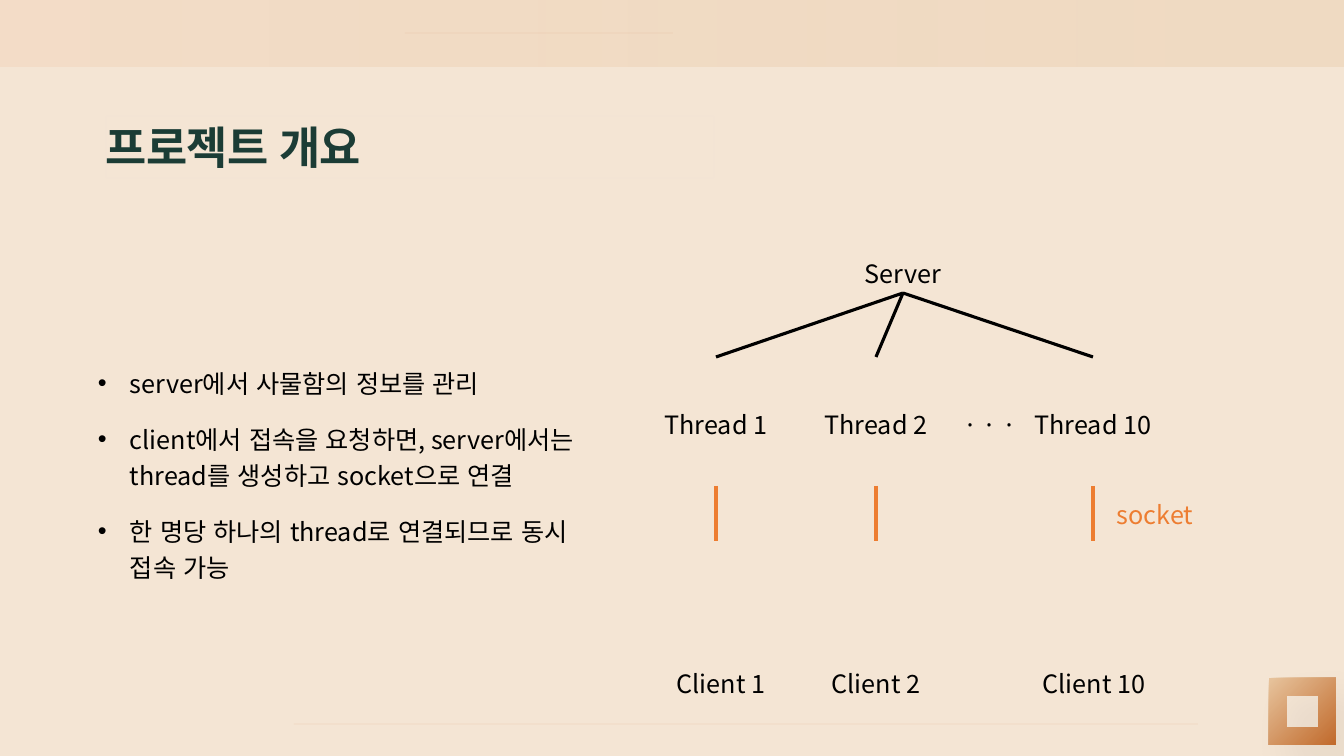
from lxml.etree import SubElement
from pptx import Presentation
from pptx.dml.color import RGBColor
from pptx.enum.lang import MSO_LANGUAGE_ID
from pptx.enum.shapes import MSO_CONNECTOR, MSO_SHAPE
from pptx.enum.text import MSO_ANCHOR, MSO_AUTO_SIZE, PP_ALIGN
from pptx.oxml.ns import qn
from pptx.util import Emu, Pt

TITLE = "프로젝트 개요"
BULLETS = [
    "server에서 사물함의 정보를 관리",
    "client에서 접속을 요청하면, server에서는 thread를 생성하고 socket으로 연결",
    "한 명당 하나의 thread로 연결되므로 동시 접속 가능",
]
# number, centre of the thread and its lines, centre of the client
BRANCHES = [(1, 716, 721), (2, 876, 876), (10, 1093, 1094)]
SERVER_CENTER, DOTS_CENTER, SOCKET_CENTER = 903, 990, 1155
SERVER_TOP, THREAD_TOP, SOCKET_TOP, CLIENT_TOP = 253, 404, 494, 663
BRANCH_END = 357
SOCKET_LINE = (486, 541)
LABEL_WIDTH, LABEL_HEIGHT = 144, 40
RULES = [(405, 673, 33), (294, 1198, 724)]

FONT = "Noto Sans CJK KR"
CREAM = RGBColor(0xF4, 0xE5, 0xD4)
SAND = RGBColor(0xE7, 0xC4, 0x9D)
PEACH = RGBColor(0xF3, 0xD5, 0xBB)
RUST = RGBColor(0xC1, 0x6A, 0x2C)
RULE_COLOR = RGBColor(0xE3, 0xAB, 0x83)
GRAY = RGBColor(0xD9, 0xD9, 0xD9)
GREEN = RGBColor(0x1B, 0x3C, 0x35)
BLACK = RGBColor(0, 0, 0)
ORANGE = RGBColor(0xED, 0x7D, 0x31)


def px(length):
    return Emu(round(length * 914400 / 100.8))


def box(*lengths):
    return [px(length) for length in lengths]


def set_opacity(element, percents):
    """Give each colour inside the element its opacity, in order."""
    for color, percent in zip(element.iter(qn("a:srgbClr")), percents):
        SubElement(color, qn("a:alpha"), val=str(percent * 1000))


def add_soft_shadow(shape):
    effects = shape._element.spPr.find(qn("a:effectLst"))
    shadow = SubElement(effects, qn("a:outerShdw"), blurRad=str(Pt(30)),
                        dist=str(Pt(26)), dir="2700000", algn="tl")
    SubElement(shadow, qn("a:srgbClr"), val=str(BLACK))
    set_opacity(shadow, (8,))


def style_run(run, color, size=18):
    run.font.name = FONT
    run.font.size = Pt(size)
    run.font.color.rgb = color
    run.font.language_id = MSO_LANGUAGE_ID.KOREAN
    SubElement(run.font._element, qn("a:ea"), typeface=FONT)


def add_gradient_shape(slide, kind, bounds, colors, angle):
    shape = slide.shapes.add_shape(kind, *box(*bounds))
    shape.shadow.inherit = False
    shape.line.fill.background()
    shape.fill.gradient()
    shape.fill.gradient_angle = angle
    for position, (stop, color) in enumerate(zip(shape.fill.gradient_stops, colors)):
        stop.color.rgb = color
        stop.position = position
    return shape


def add_line(slide, start, end, color, width=2.25):
    line = slide.shapes.add_connector(MSO_CONNECTOR.STRAIGHT, *box(*start, *end))
    line.line.color.rgb = color
    line.line.width = Pt(width)
    SubElement(line._element.spPr, qn("a:effectLst"))
    return line


def add_label(slide, text, center, top, color=BLACK):
    label = slide.shapes.add_textbox(
        *box(center - LABEL_WIDTH / 2, top, LABEL_WIDTH, LABEL_HEIGHT))
    frame = label.text_frame
    frame.word_wrap = True
    frame.auto_size = MSO_AUTO_SIZE.SHAPE_TO_FIT_TEXT
    frame.text = text
    frame.paragraphs[0].alignment = PP_ALIGN.CENTER
    style_run(frame.paragraphs[0].runs[0], color)
    return label


def add_decoration(slide):
    band = add_gradient_shape(
        slide, MSO_SHAPE.RECTANGLE, (0, 0, 1344, 67), (SAND, PEACH), 180)
    set_opacity(band._element.spPr, (31, 50))
    for left, right, y in RULES:
        rule = add_line(slide, (left, y), (right, y), RULE_COLOR, 0.5)
        set_opacity(rule._element.spPr, (24,))
    corner = add_gradient_shape(
        slide, MSO_SHAPE.FRAME, (1269, 678, 67, 67), (SAND, RUST), 315)
    corner.adjustments[0] = 0.265
    add_soft_shadow(corner)


def format_title(title):
    title.left, title.top, title.width, title.height = box(106, 116, 608, 62)
    title.line.color.rgb = GRAY
    title.line.width = Pt(0.25)
    set_opacity(title._element.spPr, (5,))
    frame = title.text_frame
    frame.text = TITLE
    frame.auto_size = MSO_AUTO_SIZE.NONE
    frame.vertical_anchor = MSO_ANCHOR.MIDDLE
    frame.margin_left = frame.margin_right = frame.margin_top = frame.margin_bottom = 0
    frame.paragraphs[0].alignment = PP_ALIGN.LEFT
    run = frame.paragraphs[0].runs[0]
    style_run(run, GREEN, 32)
    run.font.bold = True
    run.font._element.set("spc", "-60")


def add_bullets(slide):
    frame = slide.shapes.add_textbox(*box(88, 357, 508, 232)).text_frame
    frame.word_wrap = True
    frame.auto_size = MSO_AUTO_SIZE.SHAPE_TO_FIT_TEXT
    for index, text in enumerate(BULLETS):
        paragraph = frame.add_paragraph() if index else frame.paragraphs[0]
        paragraph.text = text
        paragraph.line_spacing = 1.2
        if index:
            paragraph.space_before = Pt(14)
        properties = paragraph._p.get_or_add_pPr()
        properties.set("marL", str(px(32)))
        properties.set("indent", str(-px(32)))
        SubElement(properties, qn("a:buFont"), typeface="Arial")
        SubElement(properties, qn("a:buChar"), char="•")
        style_run(paragraph.runs[0], BLACK)


def add_diagram(slide):
    server = add_label(slide, "Server", SERVER_CENTER, SERVER_TOP)
    server_bottom = (SERVER_CENTER, SERVER_TOP + LABEL_HEIGHT)
    for number, center, client_center in BRANCHES:
        add_label(slide, f"Thread {number}", center, THREAD_TOP)
        add_label(slide, f"Client {number}", client_center, CLIENT_TOP)
        branch = add_line(slide, server_bottom, (center, BRANCH_END), BLACK)
        branch.begin_connect(server, 2)
        top, bottom = SOCKET_LINE
        add_line(slide, (center, top), (center, bottom), ORANGE)
    add_label(slide, "· · ·", DOTS_CENTER, THREAD_TOP)
    add_label(slide, "socket", SOCKET_CENTER, SOCKET_TOP, ORANGE)


def main():
    presentation = Presentation()
    presentation.slide_width, presentation.slide_height = box(1344, 756)
    slide = presentation.slides.add_slide(presentation.slide_layouts[5])
    slide.background.fill.solid()
    slide.background.fill.fore_color.rgb = CREAM
    add_decoration(slide)
    format_title(slide.shapes.title)
    add_diagram(slide)
    add_bullets(slide)
    presentation.save("out.pptx")


if __name__ == "__main__":
    main()
